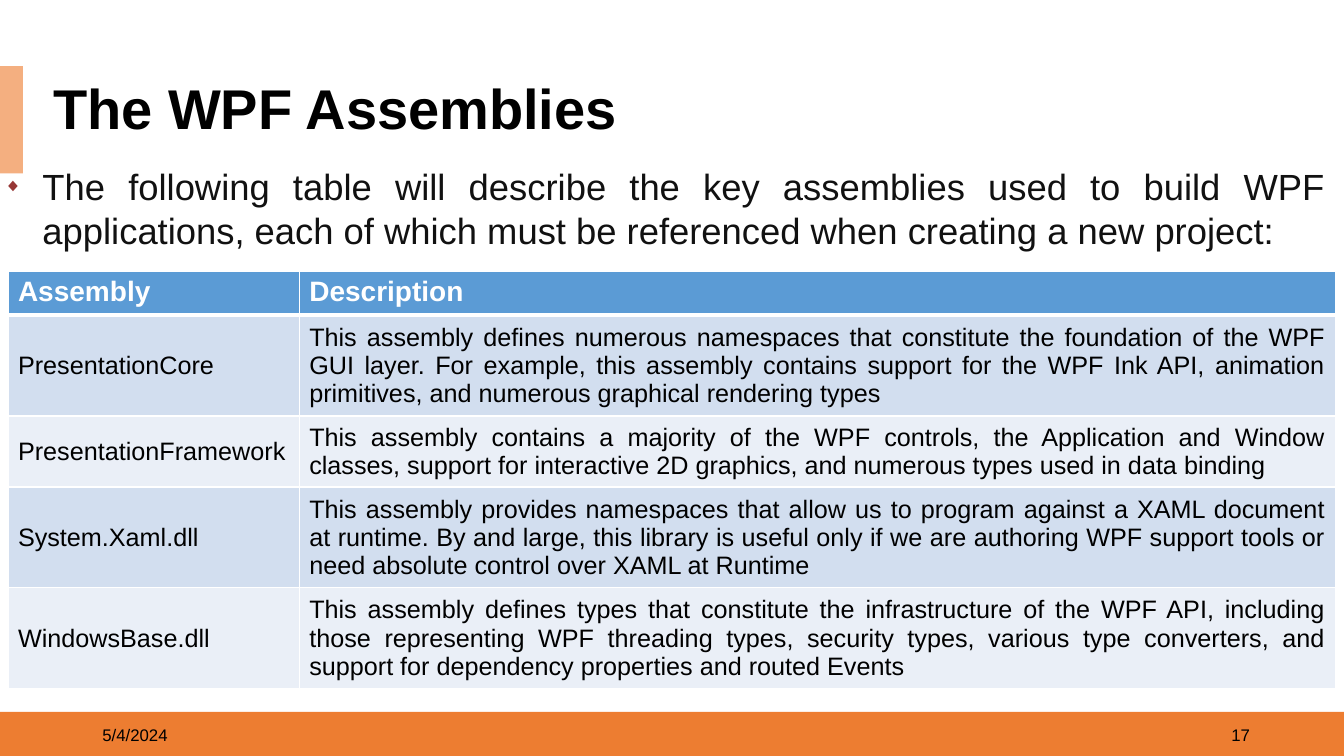
"""Build the slide that lists the key WPF assemblies."""
from lxml.etree import SubElement
from pptx import Presentation
from pptx.dml.color import RGBColor
from pptx.enum.shapes import MSO_SHAPE
from pptx.enum.text import MSO_ANCHOR, PP_ALIGN
from pptx.oxml.ns import qn
from pptx.util import Cm, Pt

TITLE = "The WPF Assemblies"
INTRO = ("The following table will describe the key assemblies used to build WPF "
         "applications, each of which must be referenced when creating a new project:")
DATE, PAGE = "5/4/2024", "17"
ROWS = [
    ("Assembly", "Description"),
    ("PresentationCore",
     "This assembly defines numerous namespaces that constitute the foundation of the "
     "WPF GUI layer. For example, this assembly contains support for the WPF Ink API, "
     "animation primitives, and numerous graphical rendering types"),
    ("PresentationFramework",
     "This assembly contains a majority of the WPF controls, the Application and Window "
     "classes, support for interactive 2D graphics, and numerous types used in data binding"),
    ("System.Xaml.dll",
     "This assembly provides namespaces that allow us to program against a XAML document "
     "at runtime. By and large, this library is useful only if we are authoring WPF "
     "support tools or need absolute control over XAML at Runtime"),
    ("WindowsBase.dll",
     "This assembly defines types that constitute the infrastructure of the WPF API, "
     "including those representing WPF threading types, security types, various type "
     "converters, and support for dependency properties and routed Events"),
]
WIDTHS = (7.34, 26.11)
HEIGHTS = (1.09, 2.54, 1.79, 2.54, 2.54)
PAGE_W, PAGE_H = 33.87, 19.05
BAR_H = 1.11

THEME = {
    "font": "Arial", "ink": "000000", "body": "111111", "white": "FFFFFF",
    "bar": "ED7D31", "tab": "F4AF80", "bullet": "973735",
    "head": "5B9BD5", "bands": ("EAEFF7", "D2DEEF"),
    "title_pt": 40, "intro_pt": 26, "head_pt": 20, "cell_pt": 18, "foot_pt": 12,
}


def write(frame, words, size, color="ink", bold=False, align=PP_ALIGN.LEFT,
          anchor=MSO_ANCHOR.MIDDLE, line=None):
    """Write one formatted paragraph in a text frame and return it."""
    frame.word_wrap = True
    frame.vertical_anchor = anchor
    para = frame.paragraphs[0]
    para.alignment = align
    para.line_spacing = line
    run = para.add_run()
    run.text = words
    font = run.font
    font.name, font.size, font.bold = THEME["font"], Pt(THEME[size]), bold
    font.color.rgb = RGBColor.from_string(THEME[color])
    return para


def add_box(slide, area):
    """Add an empty text box and return its text frame."""
    return slide.shapes.add_textbox(*map(Cm, area)).text_frame


def add_block(slide, area, color):
    """Add a plain filled rectangle."""
    block = slide.shapes.add_shape(MSO_SHAPE.RECTANGLE, *map(Cm, area))
    block.shadow.inherit = False
    block.fill.solid()
    block.fill.fore_color.rgb = RGBColor.from_string(THEME[color])
    block.line.fill.background()


def add_bullet(para):
    """Give a paragraph a small diamond bullet with a hanging indent."""
    props = para._p.get_or_add_pPr()
    props.set("marL", str(Cm(0.97)))
    props.set("indent", str(-Cm(0.97)))
    tint = SubElement(props, qn("a:buClr"))
    SubElement(tint, qn("a:srgbClr"), val=THEME["bullet"])
    SubElement(props, qn("a:buSzPct"), val="50000")
    SubElement(props, qn("a:buFont"), typeface=THEME["font"])
    SubElement(props, qn("a:buChar"), char="◆")


def add_rules(cell, row):
    """Draw white cell borders, heavier under the header."""
    props = cell._tc.get_or_add_tcPr()
    for side in "LRTB":
        heavy = (row, side) in ((0, "B"), (1, "T"))
        rule = SubElement(props, qn(f"a:ln{side}"), w=str(Pt(3 if heavy else 1)))
        fill = SubElement(rule, qn("a:solidFill"))
        SubElement(fill, qn("a:srgbClr"), val=THEME["white"])


def add_grid(slide):
    """Add the table of assemblies."""
    area = (0.2, 6.84, sum(WIDTHS), sum(HEIGHTS))
    grid = slide.shapes.add_table(len(ROWS), len(WIDTHS), *map(Cm, area)).table
    for col, width in zip(grid.columns, WIDTHS):
        col.width = Cm(width)
    for r, (row, height) in enumerate(zip(ROWS, HEIGHTS)):
        grid.rows[r].height = Cm(height)
        for c, words in enumerate(row):
            cell = grid.cell(r, c)
            add_rules(cell, r)
            cell.fill.solid()
            shade = THEME["bands"][r % 2] if r else THEME["head"]
            cell.fill.fore_color.rgb = RGBColor.from_string(shade)
            if r:
                align = PP_ALIGN.JUSTIFY if c else PP_ALIGN.LEFT
                write(cell.text_frame, words, "cell_pt", align=align)
                cell.vertical_anchor = MSO_ANCHOR.MIDDLE
            else:
                write(cell.text_frame, words, "head_pt", "white", bold=True)
                cell.vertical_anchor = MSO_ANCHOR.TOP


def main():
    """Lay out the slide and save it."""
    deck = Presentation()
    deck.slide_width, deck.slide_height = Cm(PAGE_W), Cm(PAGE_H)
    slide = deck.slides.add_slide(deck.slide_layouts[6])
    add_block(slide, (0, PAGE_H - BAR_H, PAGE_W, BAR_H), "bar")
    add_block(slide, (0, 1.67, 0.58, 2.7), "tab")
    for left, words, align in ((2.33, DATE, PP_ALIGN.LEFT), (24.13, PAGE, PP_ALIGN.RIGHT)):
        write(add_box(slide, (left, 18.01, 7.62, 1.02)), words, "foot_pt", align=align)
    write(add_box(slide, (1.09, 2, 32.77, 1.6)), TITLE, "title_pt", bold=True, line=0.9)
    intro = write(add_box(slide, (-0.15, 4.01, 33.83, 2.49)), INTRO, "intro_pt", "body",
                  align=PP_ALIGN.JUSTIFY, anchor=MSO_ANCHOR.TOP)
    intro.space_before = intro.space_after = Pt(6)
    add_bullet(intro)
    add_grid(slide)
    deck.save("out.pptx")


if __name__ == "__main__":
    main()
